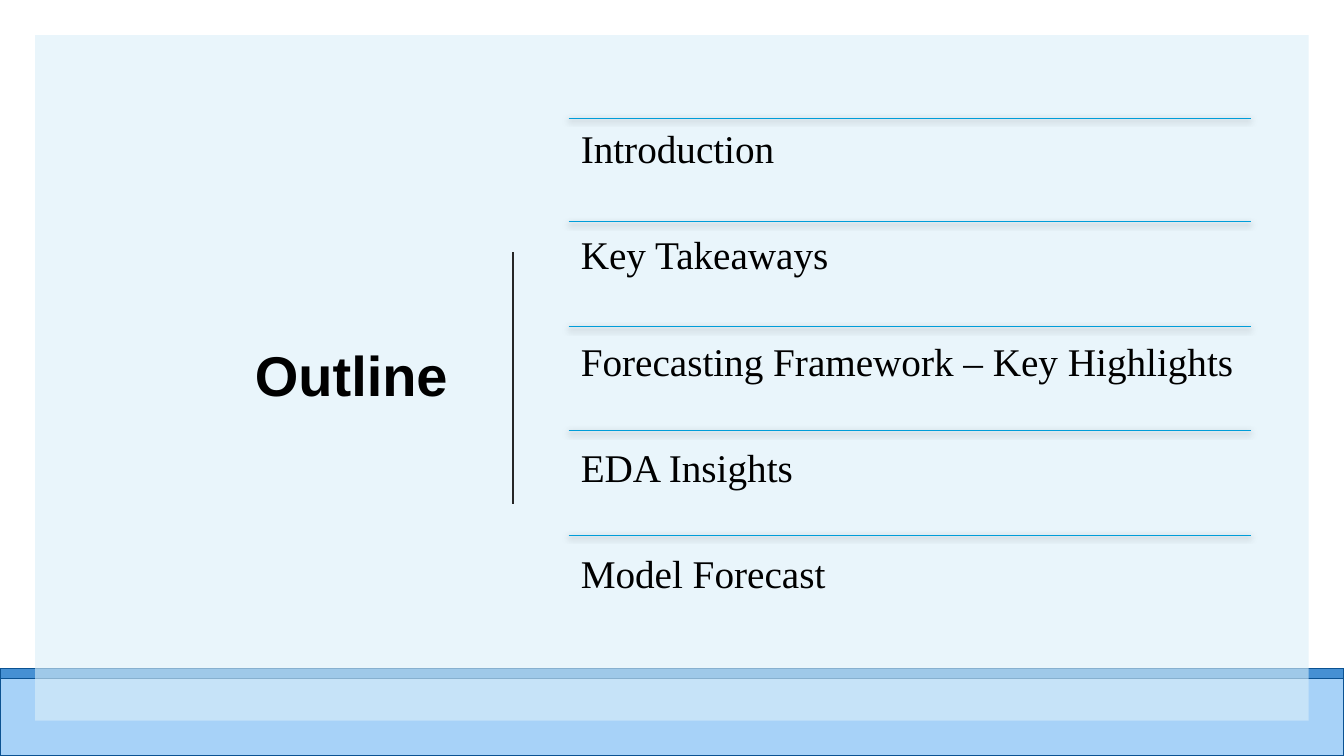
from dataclasses import dataclass

import pptx
import pptx.dml.color
import pptx.enum.shapes
import pptx.enum.text
import pptx.oxml
import pptx.oxml.ns
import pptx.util
import lxml.etree

PX = 9144  # EMU in one px, 100 px to the inch
TOPICS = [
    "Introduction",
    "Key Takeaways",
    "Forecasting Framework – Key Highlights",
    "EDA Insights",
    "Model Forecast",
]
LIST_LEFT, LIST_TOP, LIST_WIDTH, LIST_HEIGHT = 564, 117, 677, 517


@dataclass(frozen=True)
class Theme:
    band: str = "59AAF2"
    strip: str = "0F6FC6"
    band_edge: str = "0B5292"
    panel: str = "DBEFF9"
    rule: str = "262626"
    divider: str = "009DD9"
    text: str = "000000"
    title_font: str = "Arial"
    list_font: str = "Times New Roman"
    title_size: int = 40
    list_size: int = 28


THEME = Theme()


def px(length):
    return pptx.util.Emu(length * PX)


def rgb(color):
    return pptx.dml.color.RGBColor.from_string(color)


def set_values(target, values):
    for name, value in values.items():
        setattr(target, name, value)


def place(shape, left, top, width, height):
    set_values(shape, {"left": px(left), "top": px(top),
                       "width": px(width), "height": px(height)})


def add_panel(slide, left, top, width, height, color, opacity, edge=None):
    """Translucent rectangle, with an outline if edge is given."""
    panel = slide.shapes.add_shape(
        pptx.enum.shapes.MSO_SHAPE.RECTANGLE,
        px(left), px(top), px(width), px(height))
    panel.shadow.inherit = False
    panel.fill.solid()
    panel.fill.fore_color.rgb = rgb(color)
    color_node = panel.fill._xPr.find(".//" + pptx.oxml.ns.qn("a:srgbClr"))
    lxml.etree.SubElement(color_node, pptx.oxml.ns.qn("a:alpha"),
                          val=str(opacity * 1000))
    if edge:
        panel.line.color.rgb = rgb(edge)
        panel.line.width = pptx.util.Pt(1)
    else:
        panel.line.fill.background()


def add_line(slide, start, end, color, width, shadow=False):
    line = slide.shapes.add_connector(
        pptx.enum.shapes.MSO_CONNECTOR.STRAIGHT,
        *(px(value) for value in start + end))
    line.line.color.rgb = rgb(color)
    line.line.width = pptx.util.Pt(width)
    effects = lxml.etree.SubElement(line._element.spPr,
                                    pptx.oxml.ns.qn("a:effectLst"))
    if shadow:
        effects.append(pptx.oxml.parse_xml(
            f'<a:outerShdw {pptx.oxml.ns.nsdecls("a")} blurRad="57150" '
            'dist="19050" dir="5400000" algn="ctr" rotWithShape="0">'
            '<a:srgbClr val="000000"><a:alpha val="63000"/></a:srgbClr>'
            '</a:outerShdw>'))


def fill_text(box, lines, frame_format, para_format, font_format):
    """Write one paragraph per line, all formatted alike."""
    frame = box.text_frame
    frame.text = "\n".join(lines)
    set_values(frame, {"word_wrap": True,
                       "auto_size": pptx.enum.text.MSO_AUTO_SIZE.NONE,
                       **frame_format})
    for para in frame.paragraphs:
        properties = para._p.get_or_add_pPr()
        properties.set("marL", "0")
        properties.set("indent", "0")
        lxml.etree.SubElement(properties, pptx.oxml.ns.qn("a:buNone"))
        set_values(para, {"line_spacing": 0.9,
                          "space_before": pptx.util.Pt(0), **para_format})
        for span in para.runs:
            set_values(span.font, font_format)
            span.font.color.rgb = rgb(THEME.text)


def add_title(slide):
    title = slide.shapes.title
    place(title, 92, 117, 362, 517)
    fill_text(
        title, ["Outline"],
        {"vertical_anchor": pptx.enum.text.MSO_ANCHOR.MIDDLE},
        {"alignment": pptx.enum.text.PP_ALIGN.RIGHT,
         "space_after": pptx.util.Pt(6)},
        {"name": THEME.title_font, "bold": True,
         "size": pptx.util.Pt(THEME.title_size)})


def add_topics(slide):
    # A divider starts each of the equal rows
    row_height = LIST_HEIGHT / len(TOPICS)
    for index in range(len(TOPICS)):
        top = round(LIST_TOP + index * row_height)
        add_line(slide, (LIST_LEFT, top), (LIST_LEFT + LIST_WIDTH, top),
                 THEME.divider, 0.5, shadow=True)

    # Paragraph gap fills the row below a line of text
    text_height = THEME.list_size * 1.15 * 0.9
    gap = row_height * 0.72 - text_height
    body = slide.placeholders[1]
    place(body, LIST_LEFT, LIST_TOP, LIST_WIDTH, LIST_HEIGHT)
    sides = ("left", "top", "right", "bottom")
    fill_text(
        body, TOPICS,
        {"vertical_anchor": pptx.enum.text.MSO_ANCHOR.TOP,
         **{f"margin_{side}": px(12) for side in sides}},
        {"alignment": pptx.enum.text.PP_ALIGN.LEFT,
         "space_after": pptx.util.Pt(round(gap, 1))},
        {"name": THEME.list_font, "size": pptx.util.Pt(THEME.list_size)})


def main():
    deck = pptx.Presentation()
    deck.slide_width, deck.slide_height = px(1333), px(750)
    page = deck.slides.add_slide(deck.slide_layouts[1])

    # Bottom bands and the large panel over them
    add_panel(page, 0, 673, 1333, 77, THEME.band, 53, THEME.band_edge)
    add_panel(page, 0, 663, 1333, 10, THEME.strip, 77, THEME.band_edge)
    add_panel(page, 35, 35, 1263, 680, THEME.panel, 60)

    # Title, vertical rule and topic list
    add_title(page)
    add_line(page, (509, 250), (509, 500), THEME.rule, 1.5)
    add_topics(page)

    # Text stands in front of the panels
    for box in list(page.placeholders):
        page.shapes._spTree.append(box._element)

    deck.save("out.pptx")


if __name__ == "__main__":
    main()
